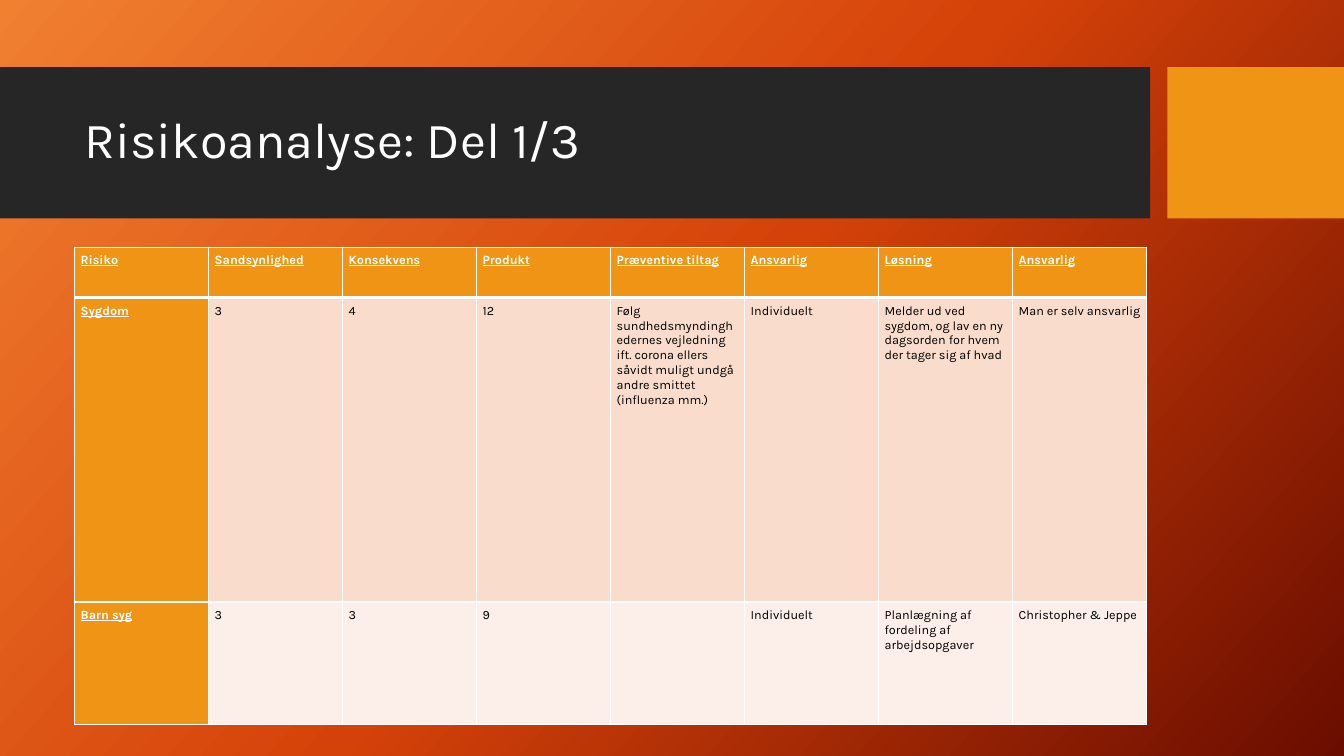
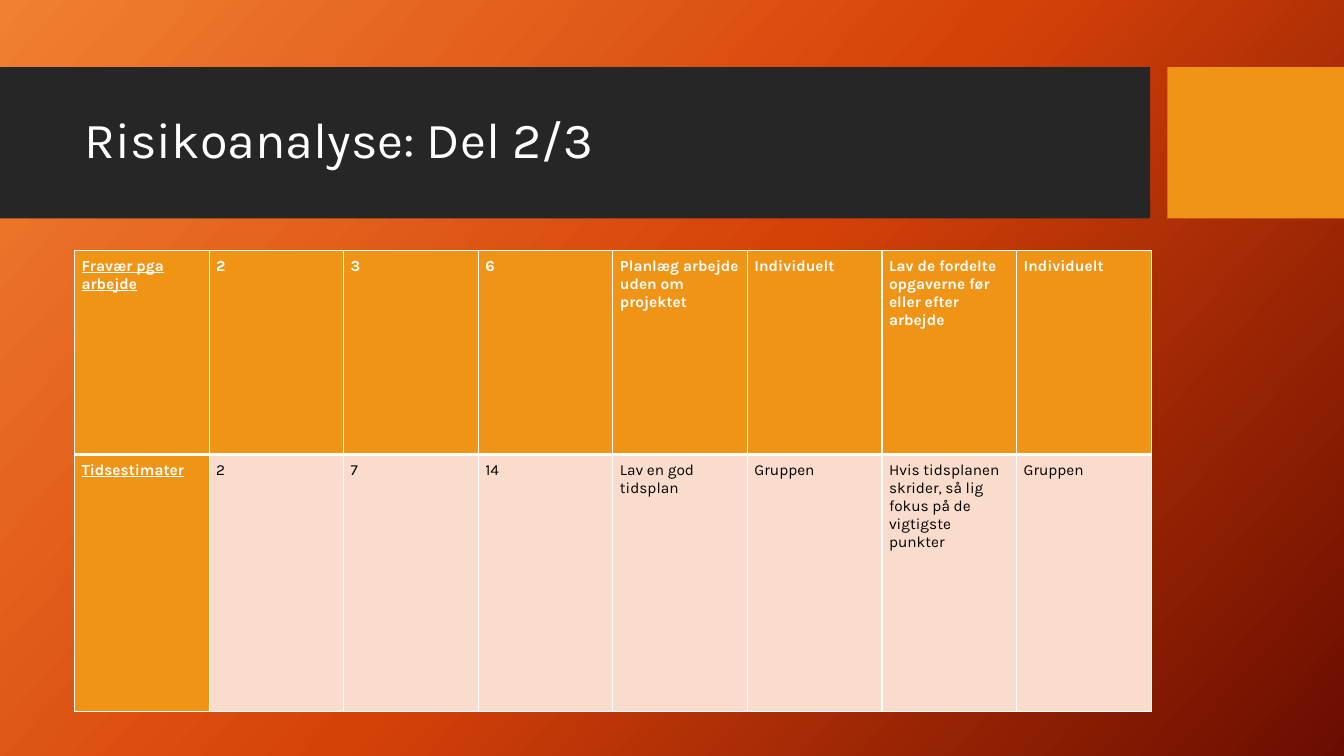
"""Build the two risk analysis slides: title band and risk table."""
from copy import deepcopy
from dataclasses import dataclass

from lxml import etree
from pptx import Presentation
from pptx.dml.color import RGBColor
from pptx.enum import shapes, text
from pptx.oxml import ns
from pptx.util import Pt

COLORS = {
    "glow": "F18031", "flame": "D54209", "ember": "6A0D00",
    "band": "262626", "accent": "F09415", "white": "FFFFFF",
    "black": "000000", "odd": "F9DCCC", "even": "FCEEE8",
}
FONT = "Karla"
LEFT = 53.3


@dataclass(frozen=True)
class Band:
    left: float
    width: float
    color: str


@dataclass(frozen=True)
class RiskSlide:
    title: str
    top: float
    column_width: float
    row_heights: list[float]
    inset: float
    size: float
    underline_header: bool
    rows: list[list[str]]


BANDS = [Band(0, 821.5, "band"), Band(833.8, 126.2, "accent")]

RISK_SLIDES = [
    RiskSlide(
        "Risikoanalyse: Del 1/3", 176.6, 95.75, [36, 217.4, 87.8], 4.3, 9, True,
        [
            ["Risiko", "Sandsynlighed", "Konsekvens", "Produkt",
             "Præventive tiltag", "Ansvarlig", "Løsning", "Ansvarlig"],
            ["Sygdom", "3", "4", "12",
             "Følg sundhedsmyndinghedernes vejledning ift. corona ellers "
             "såvidt muligt undgå andre smittet (influenza mm.)",
             "Individuelt",
             "Melder ud ved sygdom, og lav en ny dagsorden for hvem der tager sig af hvad",
             "Man er selv ansvarlig"],
            ["Barn syg", "3", "3", "9", "", "Individuelt",
             "Planlægning af fordeling af arbejdsopgaver", "Christopher & Jeppe"],
        ],
    ),
    RiskSlide(
        "Risikoanalyse: Del 2/3", 179, 96.15, [145.6, 183.4], 5, 11, False,
        [
            ["Fravær pga arbejde", "2", "3", "6",
             "Planlæg arbejde uden om projektet", "Individuelt",
             "Lav de fordelte opgaverne før eller efter arbejde", "Individuelt"],
            ["Tidsestimater", "2", "7", "14", "Lav en god tidsplan", "Gruppen",
             "Hvis tidsplanen skrider, så lig fokus på de vigtigste punkter",
             "Gruppen"],
        ],
    ),
]


def rgb(name: str) -> RGBColor:
    return RGBColor.from_string(COLORS[name])


def paint_background(master) -> None:
    fill = master.background.fill
    fill.gradient()
    fill.gradient_angle = 360 - 42
    stop_list = master.element.xpath(".//p:bg//a:gsLst")[0]
    while len(stop_list) < 3:
        stop_list.append(deepcopy(stop_list[0]))
    for stop, position, color in zip(
        fill.gradient_stops, (0, 0.5, 1), ("glow", "flame", "ember")
    ):
        stop.position = position
        stop.color.rgb = rgb(color)


def write(paragraph, words: str, size: float, color: str,
          bold: bool = False, underline: bool = False) -> None:
    run = paragraph.add_run()
    run.text = words
    run.font.name = FONT
    run.font.size = Pt(size)
    run.font.color.rgb = rgb(color)
    run.font.bold = bold
    run.font.underline = underline


def draw_header(slide, title: str) -> None:
    for band in BANDS:
        block = slide.shapes.add_shape(
            shapes.MSO_SHAPE.RECTANGLE, Pt(band.left), Pt(48), Pt(band.width), Pt(108)
        )
        block.shadow.inherit = False
        block.fill.solid()
        block.fill.fore_color.rgb = rgb(band.color)
        block.line.fill.background()
    heading = slide.shapes.add_textbox(Pt(LEFT), Pt(59), Pt(756.7), Pt(85)).text_frame
    heading.word_wrap = True
    heading.vertical_anchor = text.MSO_ANCHOR.MIDDLE
    heading.paragraphs[0].line_spacing = 0.9
    write(heading.paragraphs[0], title, 36, "white")


def draw_borders(cell, top: float, bottom: float) -> None:
    properties = cell._tc.get_or_add_tcPr()
    sides = {"lnL": 1, "lnR": 1, "lnT": top, "lnB": bottom}
    for index, (side, width) in enumerate(sides.items()):
        border = etree.Element(ns.qn(f"a:{side}"), w=str(Pt(width)))
        paint = etree.SubElement(border, ns.qn("a:solidFill"))
        etree.SubElement(paint, ns.qn("a:srgbClr"), val=COLORS["white"])
        properties.insert(index, border)


def draw_risks(slide, risk: RiskSlide) -> None:
    columns = len(risk.rows[0])
    table = slide.shapes.add_table(
        len(risk.rows), columns, Pt(LEFT), Pt(risk.top),
        Pt(columns * risk.column_width), Pt(sum(risk.row_heights)),
    ).table
    table.first_row = table.horz_banding = False
    for column in table.columns:
        column.width = Pt(risk.column_width)
    for r, (height, entries) in enumerate(zip(risk.row_heights, risk.rows)):
        table.rows[r].height = Pt(height)
        for c, entry in enumerate(entries):
            cell = table.cell(r, c)
            cell.margin_left = cell.margin_right = Pt(risk.inset)
            cell.margin_top = cell.margin_bottom = Pt(risk.inset)
            heading = r == 0 or c == 0
            cell.fill.solid()
            cell.fill.fore_color.rgb = rgb(
                "accent" if heading else "odd" if r % 2 else "even"
            )
            draw_borders(cell, 3 if r == 1 else 1, 3 if r == 0 else 1)
            if entry:
                write(cell.text_frame.paragraphs[0], entry, risk.size,
                      "white" if heading else "black", heading,
                      c == 0 or (r == 0 and risk.underline_header))


def main() -> None:
    deck = Presentation()
    deck.slide_width, deck.slide_height = Pt(960), Pt(540)
    paint_background(deck.slide_master)
    for risk in RISK_SLIDES:
        slide = deck.slides.add_slide(deck.slide_layouts[6])
        draw_header(slide, risk.title)
        draw_risks(slide, risk)
    deck.save("out.pptx")


main()
